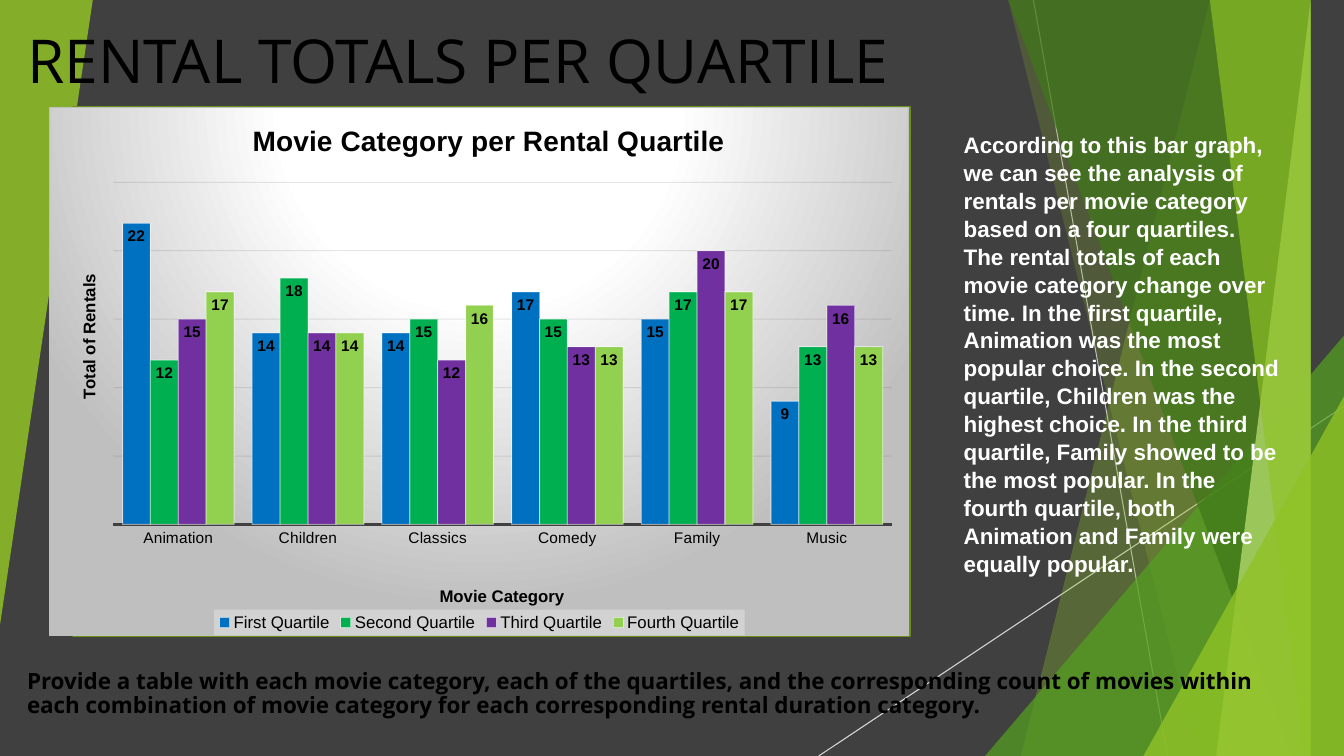
"""Build the slide on rental totals per movie category and quartile."""
import pptx
import pptx.chart.data
import pptx.dml.color
import pptx.enum.chart
import pptx.enum.shapes
import pptx.enum.text
import pptx.oxml
import pptx.oxml.ns
import pptx.util
from pptx.util import Inches

COLORS = {
    "background": "404040", "black": "000000", "white": "FFFFFF",
    "ray": "BFBFBF", "pale_ray": "D9D9D9", "lime": "90C226",
    "green": "54A021", "forest": "3F7819", "mint": "C0E474",
    "panel": "D3D3D3", "panel_line": "6B901C", "grid": "0D0D0D",
    "legend": "F2F2F2", "First Quartile": "0070C0", "Second Quartile": "00B050",
    "Third Quartile": "7030A0", "Fourth Quartile": "92D050",
}
CATEGORIES = ["Animation", "Children", "Classics", "Comedy", "Family", "Music"]
RENTALS = {
    "First Quartile": [22, 14, 14, 17, 15, 9],
    "Second Quartile": [12, 18, 15, 15, 17, 13],
    "Third Quartile": [15, 14, 12, 13, 20, 16],
    "Fourth Quartile": [17, 14, 16, 13, 17, 13],
}
RAYS = [((10.25, 0), (11.58, 7.5), "ray"), ((13.33, 4.03), (8.12, 7.5), "pale_ray")]
BACK_SHARDS = [(12.28, 10.04, "lime", 30), (10.5, 11.83, "lime", 20)]
FRONT_SHARDS = [(10.21, 12.91, "forest", 70), (13.03, 11.92, "mint", 70),
                (11.96, 13.18, "lime", 65)]
ANALYSIS = (
    "According to this bar graph, we can see the analysis of rentals per movie category "
    "based on a four quartiles. The rental totals of each movie category change over time. "
    "In the first quartile, Animation was the most popular choice. In the second quartile, "
    "Children was the highest choice. In the third quartile, Family showed to be the most "
    "popular. In the fourth quartile, both Animation and Family were equally popular.")
TASK = (
    "Provide a table with each movie category, each of the quartiles, and the corresponding "
    "count of movies within each combination of movie category for each corresponding rental "
    "duration category.")


def rgb(name):
    """Return the named colour."""
    return pptx.dml.color.RGBColor.from_string(COLORS[name])


def chart_xml(body):
    """Parse chart markup with its namespaces declared."""
    tag, rest = body.split(">", 1)
    return pptx.oxml.parse_xml(f"{tag} {pptx.oxml.ns.nsdecls('c', 'a')}>{rest}")


def set_alpha(parent, percent):
    """Make the colours below an element partly transparent."""
    for clr in parent.iter(pptx.oxml.ns.qn("a:srgbClr")):
        alpha = clr.makeelement(pptx.oxml.ns.qn("a:alpha"), {"val": str(percent * 1000)})
        clr.append(alpha)


def set_format(target, values):
    """Set attributes from a dict."""
    for name, value in values.items():
        setattr(target, name, value)


def set_font(font, size, color="black", name="Arial", bold=False):
    """Set the face, size, weight and colour of a font."""
    set_format(font, {"size": pptx.util.Pt(size), "name": name, "bold": bold})
    font.color.rgb = rgb(color)


def set_line(line, color, width=0.75):
    """Set the colour and width of a line."""
    line.color.rgb = rgb(color)
    line.width = pptx.util.Pt(width)


def paint(sp, color, alpha=100):
    """Give a shape a flat fill without outline or shadow."""
    sp.shadow.inherit = False
    sp.fill.solid()
    sp.fill.fore_color.rgb = rgb(color)
    sp.line.fill.background()
    if alpha < 100:
        set_alpha(sp.fill._xPr, alpha)


def add_ray(s, start, end, color):
    """Add a thin straight line."""
    ray = s.shapes.add_connector(pptx.enum.shapes.MSO_CONNECTOR.STRAIGHT,
                                 *(Inches(v) for v in start + end))
    set_line(ray.line, color)
    sp_pr = ray._element.spPr
    sp_pr.append(sp_pr.makeelement(pptx.oxml.ns.qn("a:effectLst"), {}))


def add_shard(s, top, bottom, color, alpha):
    """Add a slanted band that reaches the right edge of the slide."""
    builder = s.shapes.build_freeform(top, 0, scale=Inches(1))
    builder.add_line_segments([(13.33, 0), (13.33, 7.5), (bottom, 7.5)], close=True)
    paint(builder.convert_to_shape(), color, alpha)


def add_triangle(s, box, color, alpha, rotation=0):
    """Add a right-angled triangle."""
    sp = s.shapes.add_shape(pptx.enum.shapes.MSO_SHAPE.ISOSCELES_TRIANGLE,
                            *(Inches(v) for v in box))
    sp.adjustments[0] = 1
    sp.rotation = rotation
    paint(sp, color, alpha)


def add_text(s, box, text, size, frame=None, spacing=None, **font):
    """Add a wrapped text box with one paragraph."""
    tf = s.shapes.add_textbox(*(Inches(v) for v in box)).text_frame
    set_format(tf, {"word_wrap": True, **(frame or {})})
    p = tf.paragraphs[0]
    p.line_spacing = spacing
    r = p.add_run()
    r.text = text
    set_font(r.font, size, **font)


def place(element, index, x, y, w=None, h=None):
    """Give a chart part a manual layout in fractions of the chart."""
    for old in element.findall(pptx.oxml.ns.qn("c:layout")):
        element.remove(old)
    target = '<c:layoutTarget val="inner"/>' if w else ""
    size = f'<c:w val="{w}"/><c:h val="{h}"/>' if w else ""
    element.insert(index, chart_xml(
        f'<c:layout><c:manualLayout>{target}<c:xMode val="edge"/><c:yMode val="edge"/>'
        f'<c:x val="{x}"/><c:y val="{y}"/>{size}</c:manualLayout></c:layout>'))


def add_title(title, text, size, x, y, rotation=0):
    """Write and place a chart or axis title."""
    tf = title.text_frame
    r = tf.paragraphs[0].add_run()
    r.text = text
    set_font(r.font, size, bold=True)
    tf._txBody.bodyPr.set("rot", str(rotation * 60000))
    place(title._element, 1, x, y)


def style_axes(chart):
    """Format both axes and their titles."""
    none = pptx.enum.chart.XL_TICK_MARK.NONE
    cat, val = chart.category_axis, chart.value_axis
    set_format(cat, {"major_tick_mark": none, "minor_tick_mark": none})
    set_font(cat.tick_labels.font, 11)
    set_line(cat.format.line, "background", 1.5)
    add_title(cat.axis_title, "Movie Category", 12, 0.45, 0.9)
    set_format(val, {"minimum_scale": 0, "maximum_scale": 25, "major_unit": 5,
                     "has_major_gridlines": True, "visible": False})
    set_line(val.major_gridlines.format.line, "grid")
    set_alpha(val.major_gridlines.format.line._ln, 10)
    add_title(val.axis_title, "Total of Rentals", 12, 0.03, 0.31, -90)


def style_series(plot):
    """Format the bars and their value labels."""
    set_format(plot, {"gap_width": 65, "overlap": 0, "vary_by_categories": False})
    for series in plot.series:
        series.format.fill.solid()
        series.format.fill.fore_color.rgb = rgb(series.name)
        set_line(series.format.line, "white")
        set_alpha(series.format.line._ln, 50)
        labels = series.data_labels
        set_format(labels, {"show_value": True,
                            "position": pptx.enum.chart.XL_LABEL_POSITION.INSIDE_END})
        set_font(labels.font, 11, bold=True)


def style_backdrop(chart):
    """Fill the chart area with a radial gradient and the legend with a veil."""
    stops = "".join(f'<a:gs pos="{pos}000"><a:srgbClr val="{COLORS[name]}"/></a:gs>'
                    for pos, name in [(0, "white"), (39, "white"), (100, "ray")])
    chart._chartSpace.chart.addnext(chart_xml(
        f'<c:spPr><a:gradFill><a:gsLst>{stops}</a:gsLst><a:path path="circle">'
        '<a:fillToRect l="50000" t="-80000" r="50000" b="180000"/></a:path></a:gradFill>'
        f'<a:ln w="9525"><a:solidFill><a:srgbClr val="{COLORS["ray"]}"/></a:solidFill></a:ln>'
        '</c:spPr>'))
    legend = chart.legend._element
    legend.find(pptx.oxml.ns.qn("c:txPr")).addprevious(chart_xml(
        f'<c:spPr><a:solidFill><a:srgbClr val="{COLORS["legend"]}"><a:alpha val="39000"/>'
        '</a:srgbClr></a:solidFill></c:spPr>'))


def add_rental_chart(s, box):
    """Add the clustered columns of rentals per category."""
    data = pptx.chart.data.CategoryChartData()
    data.categories = CATEGORIES
    for name, values in RENTALS.items():
        data.add_series(name, values)
    chart = s.shapes.add_chart(pptx.enum.chart.XL_CHART_TYPE.COLUMN_CLUSTERED,
                               *(Inches(v) for v in box), data).chart
    set_font(chart.font, 10, name="Lato")
    add_title(chart.chart_title, "Movie Category per Rental Quartile", 20, 0.23, 0.02)
    set_format(chart, {"has_legend": True})
    set_format(chart.legend, {"position": pptx.enum.chart.XL_LEGEND_POSITION.BOTTOM,
                              "include_in_layout": False})
    set_font(chart.legend.font, 12)
    style_axes(chart)
    style_series(chart.plots[0])
    style_backdrop(chart)
    place(chart._chartSpace.chart.plotArea, 0, 0.074, 0.142, 0.906, 0.648)


def main():
    """Build and save the slide."""
    prs = pptx.Presentation()
    set_format(prs, {"slide_width": Inches(13.33), "slide_height": Inches(7.5)})
    s = prs.slides.add_slide(prs.slide_layouts[6])
    s.background.fill.solid()
    s.background.fill.fore_color.rgb = rgb("background")
    for ray in RAYS:
        add_ray(s, *ray)
    for shard in BACK_SHARDS:
        add_shard(s, *shard)
    add_triangle(s, (9.77, 3.33, 3.56, 4.17), "green", 72)
    for shard in FRONT_SHARDS:
        add_shard(s, *shard)
    add_triangle(s, (11.34, 3.93, 1.99, 3.57), "lime", 80)
    add_triangle(s, (0, 0, 0.92, 6.2), "lime", 85, 180)
    add_text(s, (0.17, 6.6, 12.86, 0.72), TASK, 16, spacing=0.9, name="Open Sans", bold=True)
    panel = s.shapes.add_shape(pptx.enum.shapes.MSO_SHAPE.RECTANGLE, Inches(0.72),
                               Inches(1.06), Inches(8.31), Inches(5.25))
    paint(panel, "panel")
    set_line(panel.line, "panel_line", 1.5)
    add_text(s, (9.46, 1.24, 3.34, 4.41), ANALYSIS, 16, spacing=1.04, color="white", bold=True)
    add_rental_chart(s, (0.49, 1.06, 8.53, 5.25))
    add_text(s, (0.17, 0.13, 10.89, 0.82), "RENTAL TOTALS PER QUARTILE", 43.2,
             {"vertical_anchor": pptx.enum.text.MSO_ANCHOR.BOTTOM,
              "margin_top": 0, "margin_bottom": 0}, name="Open Sans")
    prs.save("out.pptx")


if __name__ == "__main__":
    main()
